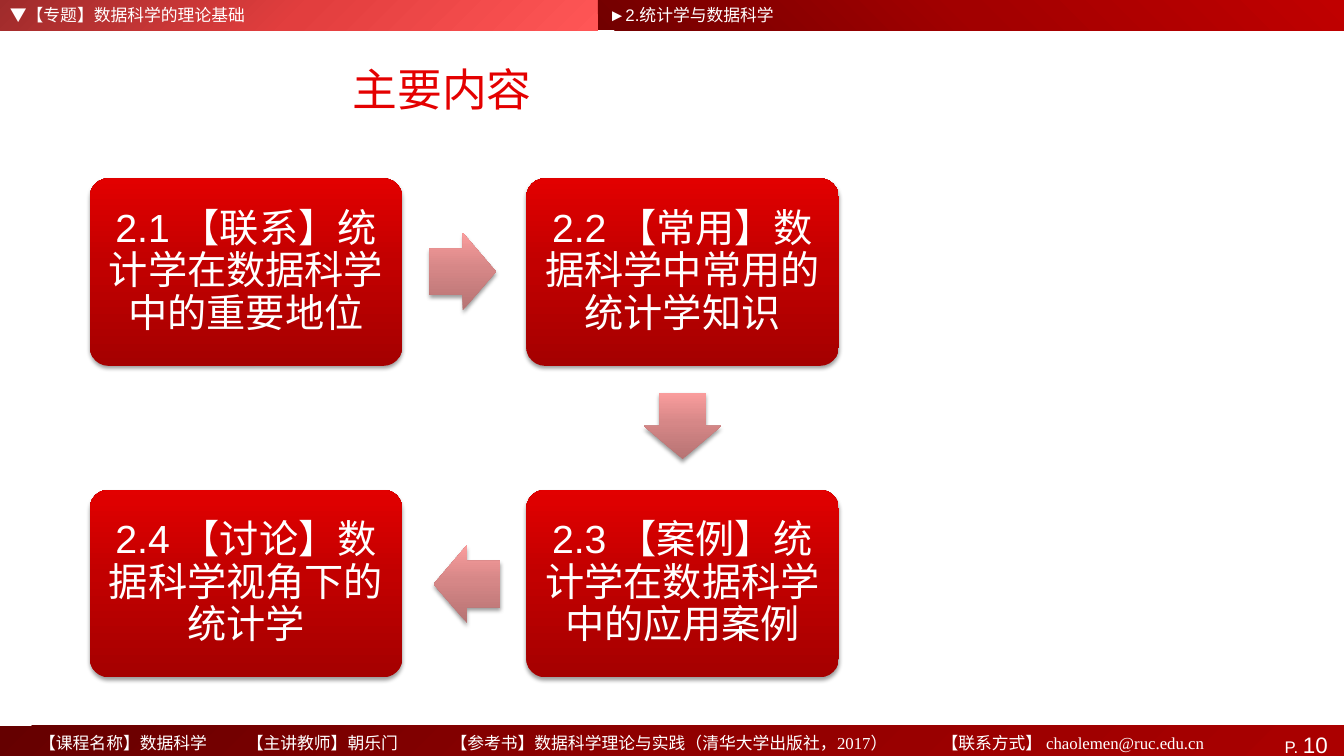
"""Build a slide showing the four linked topics of a lecture."""
from lxml import etree
from pptx import Presentation
from pptx.dml.color import RGBColor
from pptx.enum.shapes import MSO_SHAPE
from pptx.enum.text import MSO_ANCHOR, PP_ALIGN
from pptx.oxml import parse_xml
from pptx.oxml.ns import qn
from pptx.util import Pt

PX = 9144
NS = "http://schemas.openxmlformats.org/drawingml/2006/main"
RECT = MSO_SHAPE.RECTANGLE
ROUND = MSO_SHAPE.ROUNDED_RECTANGLE
ARROW = MSO_SHAPE.RIGHT_ARROW
CENTER, RIGHT = PP_ALIGN.CENTER, PP_ALIGN.RIGHT
TOP, MIDDLE = MSO_ANCHOR.TOP, MSO_ANCHOR.MIDDLE
HAN = "Noto Sans CJK SC"
WHITE = "FFFFFF"

COLS, ROWS = (89, 522), (177, 486)
BOX_W, BOX_H = 310, 186
ARROW_W, ARROW_H = 66, 77
RED = ((0, "A50000"), (55, "C20000"), (100, "E20000"))
PINK = ((0, "B67373"), (55, "D68787"), (100, "FA9D9D"))
BARS = (
    ((0, 0, 593, 30), ((0, "9F2B2B"), (50, "E23E3E"), (100, "FF5656")), 45),
    ((593, 0, 740, 30), ((0, "720000"), (50, "A20000"), (100, "C00000")), 315),
)
FOOT = ((0, "650000"), (50, "900000"), (100, "AB0000"))
TOPICS = (
    (0, 0, "2.1 【联系】统计学在数据科学中的重要地位"),
    (1, 0, "2.2 【常用】数据科学中常用的统计学知识"),
    (1, 1, "2.3 【案例】统计学在数据科学中的应用案例"),
    (0, 1, "2.4 【讨论】数据科学视角下的统计学"),
)
ARROWS = ((426, 231, 0), (644, 384, 90), (430, 541, 180))
HEADS = (
    ((0, 0, 483, 29), "▼【专题】数据科学的理论基础"),
    ((594, 0, 238, 29), "►2.统计学与数据科学"),
)
CREDITS = (
    "【课程名称】数据科学",
    "【主讲教师】朝乐门",
    "【参考书】数据科学理论与实践（清华大学出版社，2017）",
    "【联系方式】 chaolemen@ruc.edu.cn",
)
TABS = (206, 408, 895)


def color(code):
    """Turn a hex string into a colour."""
    return RGBColor.from_string(code)


def scale(box):
    """Turn px lengths into EMU."""
    return [n * PX for n in box]


def style(run, size, font="Arial", code=WHITE):
    """Format one run for Latin and Chinese text."""
    run.font.size = Pt(size)
    run.font.name = font
    run.font.color.rgb = color(code)
    etree.SubElement(run.font._element, qn("a:ea")).set("typeface", HAN)


def shade(shape, stops, angle):
    """Fill a shape with a gradient that stays upright when it turns."""
    marks = "".join(
        f'<a:gs pos="{pos * 1000}"><a:srgbClr val="{code}"/></a:gs>'
        for pos, code in stops
    )
    shape.fill.background()
    old = shape._element.spPr.find(qn("a:noFill"))
    new = parse_xml(
        f'<a:gradFill xmlns:a="{NS}" rotWithShape="0"><a:gsLst>{marks}</a:gsLst>'
        f'<a:lin ang="{angle * 60000}" scaled="0"/></a:gradFill>'
    )
    shape._element.spPr.replace(old, new)


def block(slide, kind, box, stops, angle):
    """Add a preset shape with a gradient and no line."""
    shape = slide.shapes.add_shape(kind, *scale(box))
    shape.shadow.inherit = False
    shade(shape, stops, angle)
    shape.line.fill.background()
    return shape


def lift(shape):
    """Give a shape a soft shadow below it."""
    shape._element.spPr.find(qn("a:effectLst")).append(parse_xml(
        f'<a:outerShdw xmlns:a="{NS}" blurRad="{Pt(3.1)}" dist="{Pt(2)}" '
        'dir="5400000" rotWithShape="0"><a:srgbClr val="000000">'
        '<a:alpha val="38000"/></a:srgbClr></a:outerShdw>'
    ))


def label(slide, box, text, font="Arial"):
    """Add a small white line of text."""
    frame = slide.shapes.add_textbox(*scale(box)).text_frame
    frame.word_wrap = True
    frame.text = text
    para = frame.paragraphs[0]
    style(para.runs[0], 12, font)
    return para


def topic(slide, col, row, text):
    """Add one topic box at its place in the grid."""
    box = COLS[col], ROWS[row], BOX_W, BOX_H
    shape = block(slide, ROUND, box, RED, 270)
    shape.adjustments[0] = 0.1
    lift(shape)
    frame = shape.text_frame
    frame.margin_left = frame.margin_right = 12 * PX
    frame.margin_top = frame.margin_bottom = 12 * PX
    frame.vertical_anchor = MIDDLE
    frame.text = text
    para = frame.paragraphs[0]
    para.alignment = CENTER
    para.line_spacing = 0.9
    para.space_after = Pt(9.8)
    style(para.runs[0], 28)


def arrow(slide, left, top, turn):
    """Add one arrow between two topics."""
    shape = block(slide, ARROW, (left, top, ARROW_W, ARROW_H), PINK, 270)
    shape.adjustments[0] = 0.6
    shape.adjustments[1] = 0.5
    shape.rotation = turn
    lift(shape)


def footer(slide):
    """Add the bottom bar with page number and course credits."""
    frame = block(slide, RECT, (0, 720, 1333, 37), FOOT, 45).text_frame
    frame.vertical_anchor = TOP
    para = frame.paragraphs[0]
    para.alignment = RIGHT
    for text, size in (("P. ", 12), ("10 ", 16)):
        run = para.add_run()
        run.text = text
        style(run, size)
    para = label(slide, (29, 722, 1226, 41), "\t".join(CREDITS), "Times New Roman")
    stops = etree.SubElement(para._p.get_or_add_pPr(), qn("a:tabLst"))
    for pos in TABS:
        etree.SubElement(stops, qn("a:tab"), pos=str(pos * PX), algn="l")


def heading(slide, text):
    """Place and format the slide title."""
    title = slide.shapes.title
    title.left, title.top, title.width, title.height = scale((44, 43, 789, 90))
    frame = title.text_frame
    frame.vertical_anchor = MIDDLE
    frame.text = text
    para = frame.paragraphs[0]
    para.alignment = CENTER
    style(para.runs[0], 32, HAN, "E40000")


def main():
    """Build and save the slide."""
    deck = Presentation()
    deck.slide_width, deck.slide_height = scale((1333, 750))
    slide = deck.slides.add_slide(deck.slide_layouts[5])
    for box, stops, angle in BARS:
        block(slide, RECT, box, stops, angle)
    footer(slide)
    heading(slide, "主要内容")
    for item in TOPICS:
        topic(slide, *item)
    for item in ARROWS:
        arrow(slide, *item)
    for box, text in HEADS:
        label(slide, box, text)
    deck.save("out.pptx")


if __name__ == "__main__":
    main()
